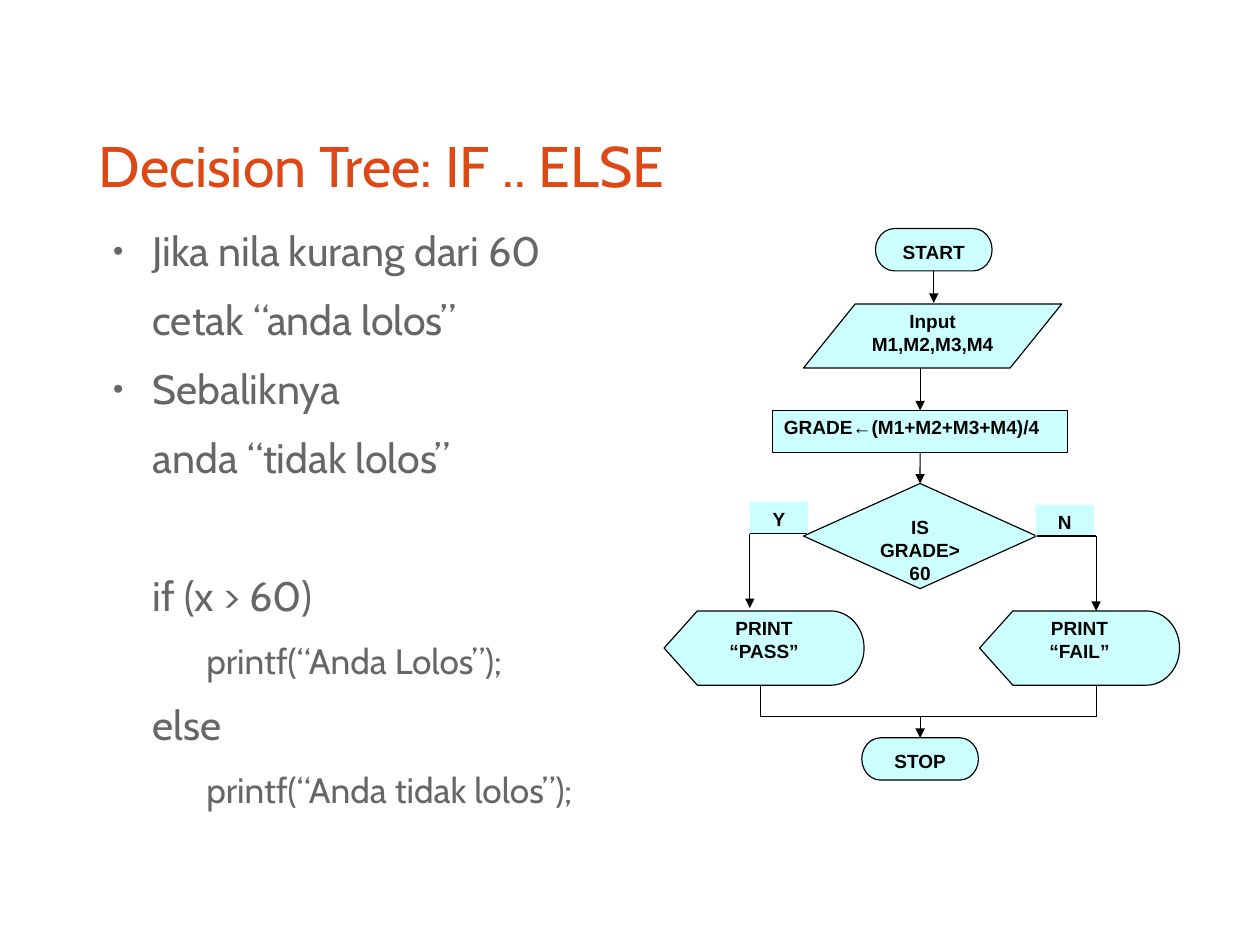
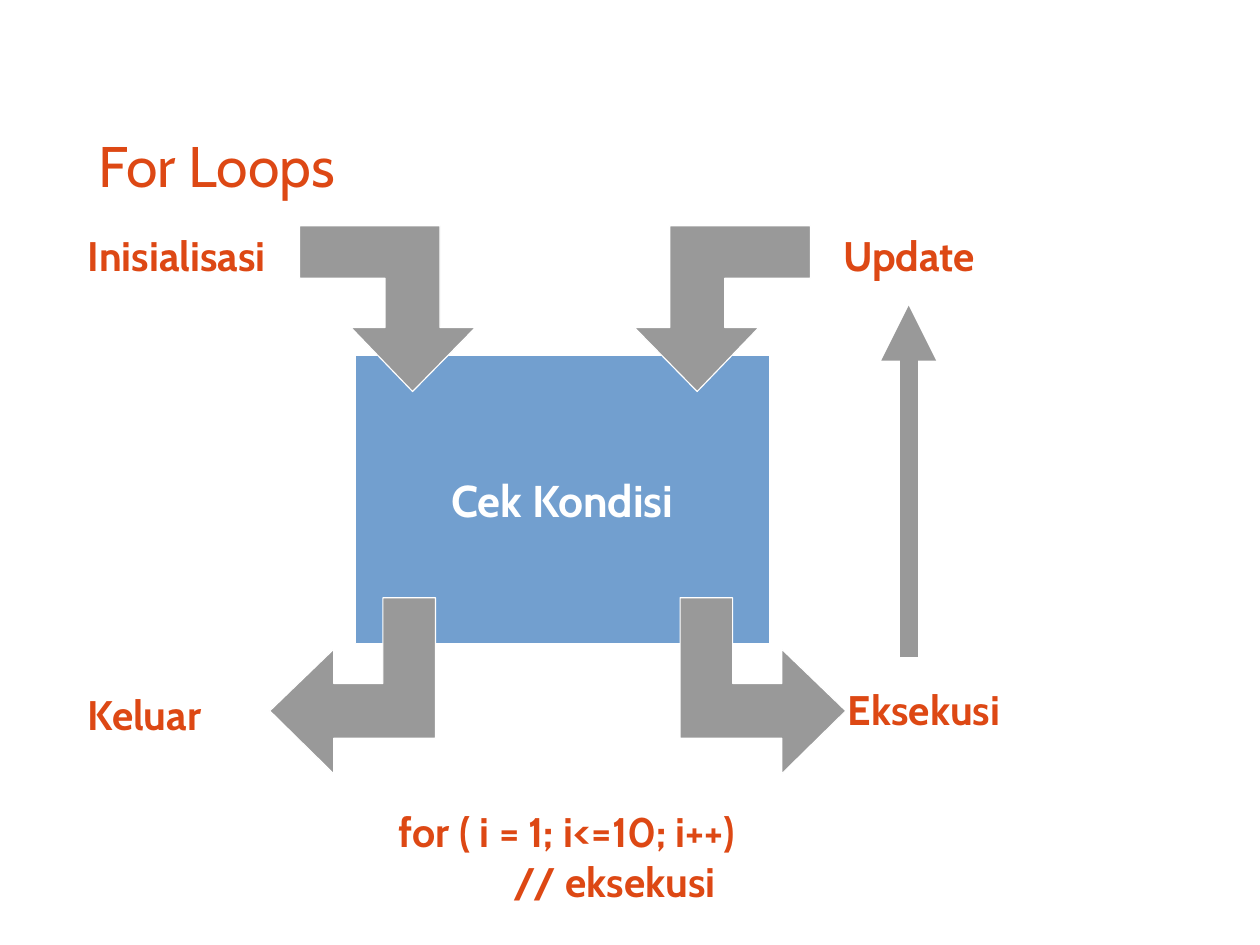
from dataclasses import dataclass
from lxml.etree import SubElement as Sub
from pptx import Presentation
from pptx.dml.color import RGBColor as Rgb
from pptx.enum.shapes import MSO_CONNECTOR as Link, MSO_SHAPE as Geo
from pptx.enum.text import MSO_ANCHOR as Anchor, PP_ALIGN as Align
from pptx.oxml.ns import qn
from pptx.util import Cm, Inches, Pt


@dataclass(frozen=True)
class Theme:
    head: Rgb = Rgb.from_string("DD4814")
    body: Rgb = Rgb.from_string("666666")
    ink: Rgb = Rgb.from_string("000000")
    paper: Rgb = Rgb.from_string("FFFFFF")
    pale: Rgb = Rgb.from_string("CCFFFF")
    blue: Rgb = Rgb.from_string("729FCF")
    gray: Rgb = Rgb.from_string("999999")
    font: str = "Cabin"
    plain: str = "Arial"
    title: float = 36
    big: float = 28
    label: float = 26
    text: float = 25.9
    sub: float = 22.2
    node: float = 12
    rule: float = 0.75
    thick: float = 11.5


T = Theme()
WIDE, HIGH = Cm(28), Cm(21)


def cell(n):
    """Turn grid columns or rows, ten to the inch, into a length."""
    return Inches(n / 10)


def write(shape, text, *, size, color, font=T.font, bold=False,
          align=Align.LEFT, left=0, hang=0, before=0, after=0, bullet=None):
    """Add each line of text as one paragraph."""
    frame = shape.text_frame
    for line in text.split("\n"):
        para = frame.paragraphs[0]
        if para.runs:
            para = frame.add_paragraph()
        para.alignment = align
        para.space_before, para.space_after = Pt(before), Pt(after)
        props = para._p.get_or_add_pPr()
        props.set("marL", str(cell(left)))
        props.set("indent", str(-cell(hang)))
        if bullet:
            Sub(Sub(props, qn("a:buClr")), qn("a:srgbClr"), val=str(color))
            Sub(props, qn("a:buSzPct"), val="45000")
            Sub(props, qn("a:buFont"), typeface=T.plain)
            Sub(props, qn("a:buChar"), char=bullet)
        run = para.add_run()
        run.text = line
        run.font.name, run.font.size = font, Pt(size)
        run.font.bold, run.font.color.rgb = bold, color


class Deck:
    def __init__(self):
        self.file = Presentation()
        self.file.slide_width = WIDE
        self.file.slide_height = HIGH
        self.slide = None

    def page(self, title):
        self.slide = self.file.slides.add_slide(self.file.slide_layouts[6])
        box = self.box(8.65, 10.25, 92.5, 8.4, pad=False)
        box.text_frame.vertical_anchor = Anchor.MIDDLE
        write(box, title, size=T.title, color=T.head)

    def box(self, x, y, w, h, pad=True):
        box = self.slide.shapes.add_textbox(*map(cell, (x, y, w, h)))
        frame = box.text_frame
        frame.word_wrap = True
        if not pad:
            frame.margin_left = frame.margin_right = 0
            frame.margin_top = frame.margin_bottom = 0
        return box

    def label(self, x, y, text):
        write(self.box(x, y, 22.8, 5.9), text,
              size=T.label, color=T.head, bold=True)

    def paint(self, shape, fill, edge=None, width=0):
        shape.shadow.inherit = False
        shape.fill.solid()
        shape.fill.fore_color.rgb = fill
        if edge is None:
            shape.line.fill.background()
        else:
            shape.line.color.rgb = edge
            shape.line.width = Pt(width)

    def shape(self, geo, x, y, w, h):
        return self.slide.shapes.add_shape(geo, *map(cell, (x, y, w, h)))

    def node(self, geo, x, y, w, h, text, edge=T.ink, align=Align.CENTER):
        node = self.shape(geo, x, y, w, h)
        self.paint(node, T.pale, edge, T.rule)
        node.text_frame.word_wrap = True
        node.text_frame.vertical_anchor = Anchor.TOP
        write(node, text, size=T.node, color=T.ink, font=T.plain,
              bold=True, align=align)
        return node

    def line(self, x1, y1, x2, y2, arrow=False, start=None, end=None,
             color=T.ink, width=T.rule):
        """Draw a line; start and end are (shape, side) pairs to join."""
        line = self.slide.shapes.add_connector(
            Link.STRAIGHT, *map(cell, (x1, y1, x2, y2)))
        line.line.color.rgb, line.line.width = color, Pt(width)
        if start:
            line.begin_connect(*start)
        if end:
            line.end_connect(*end)
        if arrow:
            Sub(line.line._get_or_add_ln(), qn("a:tailEnd"), type="triangle")
        Sub(line._element.spPr, qn("a:effectLst"))

    def bend(self, x, y, side, down):
        """Draw a bent arrow with its tip at x, y; side mirrors it."""
        form = ((0, 0), (5.6, -5.4), (5.6, -2.4), (9.9, -2.4), (9.9, -9.9),
                (14.5, -9.9), (14.5, 2.4), (5.6, 2.4), (5.6, 5.5))
        spots = [(x + side * v, y - u) if down else (x + side * u, y + v)
                 for u, v in form]
        first, *rest = [(cell(a), cell(b)) for a, b in spots]
        path = self.slide.shapes.build_freeform(*first, scale=1.0)
        path.add_line_segments(rest, close=True)
        self.paint(path.convert_to_shape(), T.gray, T.paper)


def choice(deck):
    deck.page("Decision Tree: IF .. ELSE")

    # Notes and code: text, has bullet, is nested, space before
    body = deck.box(8.65, 19.7, 92.5, 47.6, pad=False)
    rows = (
        ("Jika nila kurang dari 60", True, False, 0),
        ("cetak “anda lolos”", False, False, 0),
        ("Sebaliknya", True, False, 0),
        ("anda “tidak lolos”", False, False, 0),
        ("if (x > 60)", False, False, 43.5),
        ("printf(“Anda Lolos”);", False, True, 0),
        ("else", False, False, 0),
        ("printf(“Anda tidak lolos”);", False, True, 0),
    )
    for text, dot, deep, gap in rows:
        write(body, text, size=T.sub if deep else T.text, color=T.body,
              left=9.4 if deep else 4.7, hang=3.5 if dot else 0,
              before=gap, after=11.3 if deep else 12.4,
              bullet="●" if dot else None)

    # Flowchart nodes
    mid, west, east = 80.5, 65.6, 95.9
    begin = deck.node(Geo.FLOWCHART_TERMINATOR, 76.6, 20, 10.2, 3.7, "START")
    deck.node(Geo.FLOWCHART_DATA, 70.3, 26.6, 22.6, 5.6,
              "Input\nM1,M2,M3,M4")
    grade = deck.node(Geo.FLOWCHART_PROCESS, mid - 12.9, 35.9, 25.8, 3.7,
                      "GRADE←(M1+M2+M3+M4)/4", align=Align.LEFT)
    test = deck.node(Geo.FLOWCHART_DECISION, mid - 10.2, 42.3, 20.4, 9.2,
                     "IS\nGRADE>\n60")
    for x, word in ((58.1, "PASS"), (85.7, "FAIL")):
        deck.node(Geo.FLOWCHART_DISPLAY, x, 53.45, 17.5, 6.5,
                  f"PRINT\n“{word}”")
    stop = deck.node(Geo.FLOWCHART_TERMINATOR, mid - 5.1, 64.55, 10.2, 3.7,
                     "STOP")
    for x, y, word in ((west, 43.9, "Y"), (90.6, 44.15, "N")):
        deck.node(Geo.RECTANGLE, x, y, 5.1, 2.8, word, edge=None)

    # Main flow
    deck.line(81.7, 23.7, 81.7, 26.5, True, start=(begin, 2))
    deck.line(mid, 32.2, mid, 35.9, True, end=(grade, 0))
    deck.line(mid, 39.6, mid, 42.3, True, start=(grade, 2), end=(test, 0))
    deck.line(mid, 62.7, mid, 64.55, True, end=(stop, 0))

    # Branches out and back
    deck.line(west, 46.7, 70.6, 46.7)
    deck.line(west, 46.7, west, 53.2, True)
    deck.line(90.7, 46.9, east, 46.9, start=(test, 3))
    deck.line(east, 46.9, east, 53.45, True)
    deck.line(66.5, 62.7, east, 62.7)
    for x in (66.5, east):
        deck.line(x, 62.7, x, 59.9)


def loop(deck):
    deck.page("For Loops")

    # Condition block
    block = deck.shape(Geo.RECTANGLE, 31.1, 31.1, 36.2, 25.2)
    deck.paint(block, T.blue, T.paper)
    block.text_frame.vertical_anchor = Anchor.MIDDLE
    write(block, "Cek Kondisi", size=T.big, color=T.paper, bold=True,
          align=Align.CENTER)

    # Bent arrows: tip, side, points down
    for x, y, side, down in ((36.1, 34.25, 1, True), (23.6, 62.2, 1, False),
                             (74, 62.2, -1, False), (61, 34.25, -1, True)):
        deck.bend(x, y, side, down)

    # Step names
    for x, y, text in ((6.7, 19.65, "Inisialisasi"), (72.8, 19.65, "Update"),
                       (6.7, 59.8, "Keluar"), (73.2, 59.4, "Eksekusi")):
        deck.label(x, y, text)
    deck.line(79.5, 57.5, 79.5, 26.75, True, color=T.gray, width=T.thick)

    # Code sample
    code = deck.box(33.9, 70.05, 41.7, 10.9)
    for text, left in (("for ( i = 1; i<=10; i++)", 0), ("// eksekusi", 10)):
        write(code, text, size=T.label, color=T.head, bold=True, left=left)


def main():
    deck = Deck()
    choice(deck)
    loop(deck)
    deck.file.save("out.pptx")


if __name__ == "__main__":
    main()
